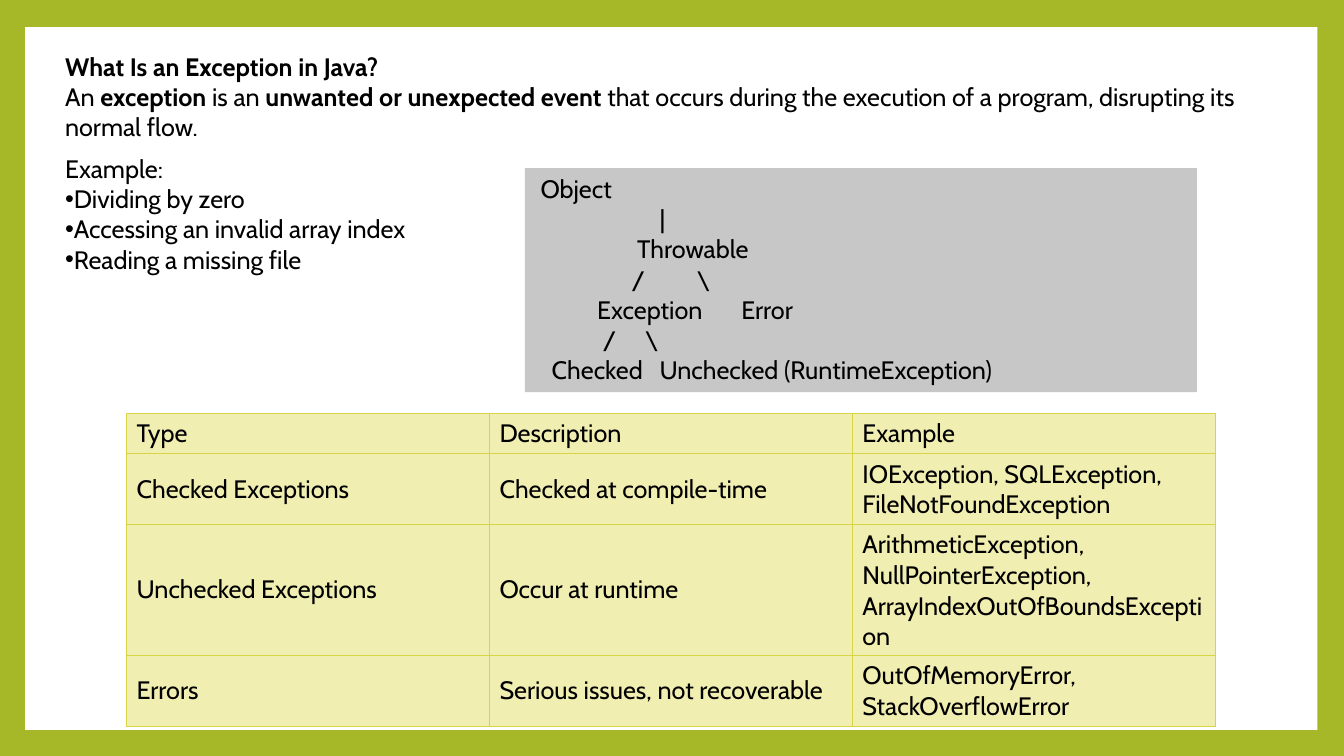
from dataclasses import dataclass

from lxml import etree
from pptx import Presentation
from pptx.dml.color import RGBColor
from pptx.enum import shapes, text
from pptx.oxml import ns
from pptx.util import Pt


@dataclass(frozen=True)
class Theme:
    font: str = "Cabin"
    size: int = 18
    ink: str = "000000"
    frame: str = "A6B727"
    paper: str = "FFFFFF"
    panel: str = "C7C7C7"
    cell: str = "F1EEB2"
    rule: str = "D7D447"
    line: float = 0.79


def paint(fill, color):
    fill.solid()
    fill.fore_color.rgb = RGBColor.from_string(color)


def sub(node, tag, **attrs):
    return etree.SubElement(node, ns.qn(tag), attrs)


class Deck:
    def __init__(self, theme):
        self.theme = theme
        self.prs = Presentation()
        self.prs.slide_width, self.prs.slide_height = Pt(960), Pt(540)
        self.slide = self.prs.slides.add_slide(self.prs.slide_layouts[6])
        paint(self.slide.background.fill, theme.frame)

    def rect(self, box, color):
        shape = self.slide.shapes.add_shape(
            shapes.MSO_SHAPE.RECTANGLE, *map(Pt, box))
        shape.shadow.inherit = False
        paint(shape.fill, color)
        shape.line.fill.background()
        return shape

    def run(self, para, words, bold=False):
        run = para.add_run()
        run.text = words
        font = run.font
        font.name, font.size, font.bold = self.theme.font, Pt(self.theme.size), bold
        font.color.rgb = RGBColor.from_string(self.theme.ink)

    def paras(self, frame, count):
        """Set up a left-aligned, wrapping frame and yield its paragraphs."""
        frame.word_wrap = True
        frame.vertical_anchor = text.MSO_ANCHOR.TOP
        for i in range(count):
            para = frame.add_paragraph() if i else frame.paragraphs[0]
            para.alignment = text.PP_ALIGN.LEFT
            yield para

    def prose(self, box, lines):
        """Each line is a list of (words, bold) runs."""
        frame = self.slide.shapes.add_textbox(*map(Pt, box)).text_frame
        for para, line in zip(self.paras(frame, len(lines)), lines):
            for words, bold in line:
                self.run(para, words, bold)

    def bullets(self, box, head, items):
        frame = self.slide.shapes.add_textbox(*map(Pt, box)).text_frame
        first, *rest = self.paras(frame, len(items) + 1)
        self.run(first, head)
        for para, item in zip(rest, items):
            props = para._p.get_or_add_pPr()
            sub(props, "a:buFont", typeface="Arial")
            sub(props, "a:buChar", char="•")
            self.run(para, item)

    def tree(self, box, lines):
        """Each line is a list of (tab stop, words) pairs on a filled panel."""
        frame = self.rect(box, self.theme.panel).text_frame
        for para, line in zip(self.paras(frame, len(lines)), lines):
            tabs = sub(para._p.get_or_add_pPr(), "a:tabLst")
            for stop, words in line:
                sub(tabs, "a:tab", pos=str(Pt(stop)), algn="l")
                self.run(para, "\t" + words)

    def border(self, cell):
        props = cell._tc.get_or_add_tcPr()
        for side in "LRTB":
            line = sub(props, f"a:ln{side}", w=str(Pt(self.theme.line)))
            sub(sub(line, "a:solidFill"), "a:srgbClr", val=self.theme.rule)

    def table(self, left, top, width, heights, rows):
        cols = len(rows[0])
        table = self.slide.shapes.add_table(
            len(rows), cols, Pt(left), Pt(top), Pt(width * cols),
            Pt(sum(heights))).table
        for col in table.columns:
            col.width = Pt(width)
        for row, height, words in zip(table.rows, heights, rows):
            row.height = Pt(height)
            for cell, word in zip(row.cells, words):
                self.border(cell)
                paint(cell.fill, self.theme.cell)
                cell.vertical_anchor = text.MSO_ANCHOR.MIDDLE
                self.run(cell.text_frame.paragraphs[0], word)

    def save(self):
        self.prs.save("out.pptx")


def main():
    deck = Deck(Theme())
    deck.rect((18, 19.4, 923, 502), deck.theme.paper)
    deck.prose((39.4, 33, 879, 73), [
        [("What Is an Exception in Java?", True)],
        [("An ", False), ("exception", True), (" is an ", False),
         ("unwanted or unexpected event", True),
         (" that occurs during the execution of a program, "
          "disrupting its normal flow.", False)],
    ])
    deck.bullets((39.4, 106, 480, 94.5), "Example:", [
        "Dividing by zero",
        "Accessing an invalid array index",
        "Reading a missing file",
    ])
    deck.tree((375, 120.2, 480, 160), [
        [(4, "Object")],
        [(89, "|")],
        [(73, "Throwable")],
        [(69, "/"), (115.5, "\\")],
        [(44.5, "Exception"), (147.5, "Error")],
        [(48.5, "/"), (78.5, "\\")],
        [(12, "Checked"), (89, "Unchecked (RuntimeException)")],
    ])
    deck.table(90.4, 295, 259.2, (29.1, 50.4, 93.6, 50.4), [
        ("Type", "Description", "Example"),
        ("Checked Exceptions", "Checked at compile-time",
         "IOException, SQLException, FileNotFoundException"),
        ("Unchecked Exceptions", "Occur at runtime",
         "ArithmeticException, NullPointerException, "
         "ArrayIndexOutOfBoundsException"),
        ("Errors", "Serious issues, not recoverable",
         "OutOfMemoryError, StackOverflowError"),
    ])
    deck.save()


if __name__ == "__main__":
    main()
